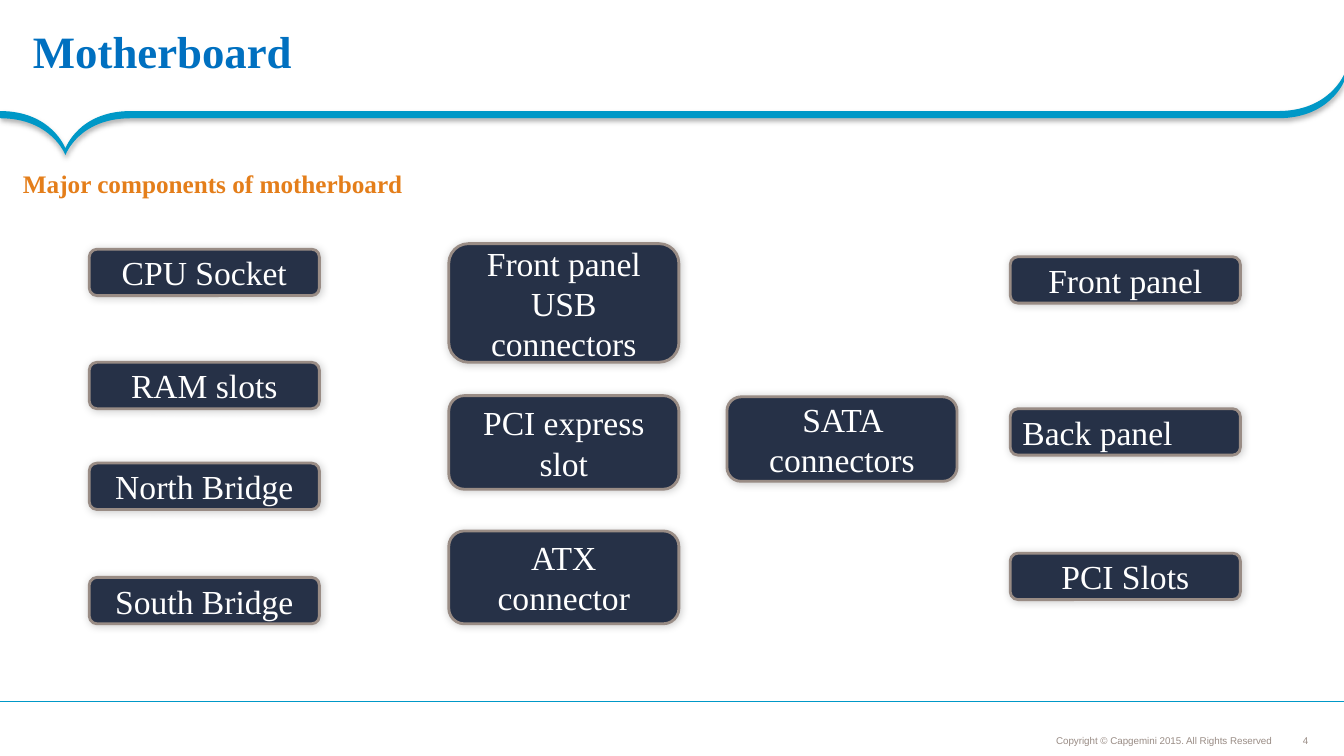
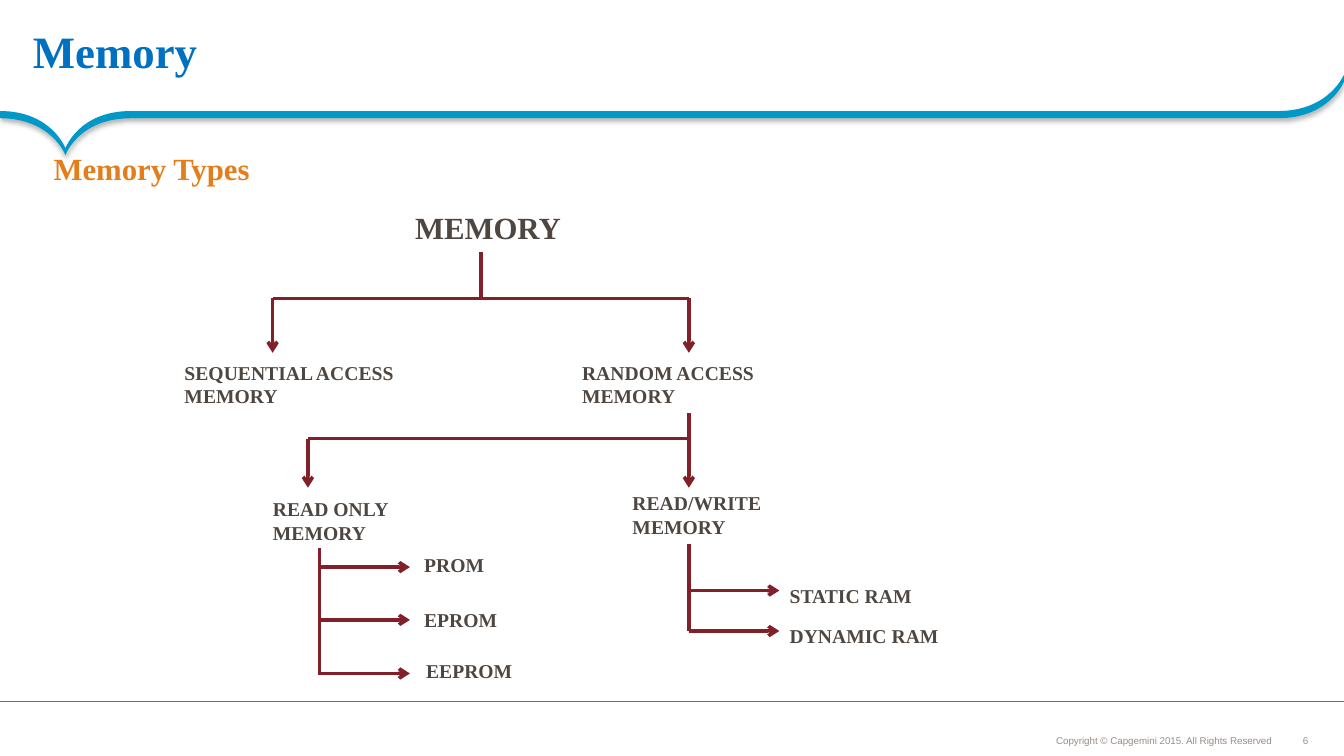
from dataclasses import dataclass

from lxml.etree import SubElement
from pptx import Presentation
from pptx.dml.color import RGBColor
from pptx.enum.shapes import MSO_CONNECTOR as Connector, MSO_SHAPE as Preset
from pptx.enum.text import MSO_ANCHOR as Anchor, MSO_AUTO_SIZE as AutoSize, PP_ALIGN as Align
from pptx.oxml.ns import qn
from pptx.shapes.base import BaseShape
from pptx.slide import Slide
from pptx.text.text import TextFrame
from pptx.util import Cm, Pt

COLORS = {
    "title": "0070C0",
    "heading": "E47E1A",
    "band": "0098C7",
    "footer": "998C85",
    "box": "263147",
    "box_edge": "998C85",
    "box_text": "FFFFFF",
    "text": "4E4641",
    "arrow": "812029",
}
SERIF, SANS = "Times New Roman", "Arial"
SLIDE_WIDTH, SLIDE_HEIGHT = 33.87, 19.05
TITLE_ONLY = 5
COPYRIGHT = "Copyright © Capgemini 2015. All Rights Reserved"

# Band outline in cm: a start, then (control, control, end) for each curve.
BAND_START = (32.21, 2.8)
BAND_CURVES = [
    ((3.3, 2.8), (3.3, 2.8), (3.3, 2.8)),
    ((1.98, 2.8), (1.65, 3.74), (1.65, 3.74)),
    ((1.65, 3.74), (1.3, 2.8), (0, 2.8)),
    ((0, 2.98), (0, 2.98), (0, 2.98)),
    ((1.3, 2.98), (1.65, 3.91), (1.65, 3.91)),
    ((1.65, 3.91), (1.98, 2.98), (3.3, 2.98)),
    ((32.21, 2.98), (32.21, 2.98), (32.21, 2.98)),
    ((33.5, 2.98), (33.87, 2.06), (33.87, 2.06)),
    ((33.87, 1.88), (33.87, 1.88), (33.87, 1.88)),
    ((33.87, 1.88), (33.5, 2.8), BAND_START),
]


@dataclass(frozen=True)
class TextStyle:
    size: float
    color: str
    font: str = SERIF
    bold: bool = False
    align: Align = Align.LEFT
    spacing: float = 1.0


TITLE = TextStyle(32, "title", bold=True, spacing=0.85)
FOOTER = TextStyle(7, "footer", SANS, align=Align.RIGHT, spacing=0.9)
PAGE_NUMBER = TextStyle(7, "footer", SANS, align=Align.CENTER)
COMPONENTS_HEADING = TextStyle(18, "heading", bold=True, spacing=0.9)
TYPES_HEADING = TextStyle(22, "heading", bold=True, spacing=0.9)
TREE_ROOT = TextStyle(22, "text", bold=True, spacing=0.9)
TREE_LABEL = TextStyle(14, "text", bold=True)
COMPONENT = TextStyle(24, "box_text", align=Align.CENTER)
COMPONENT_LEFT = TextStyle(24, "box_text")

DEFAULT_INSETS = (0.25, 0.13, 0.25, 0.13)
HEADING_INSETS = (0.3, 0.2, 0.2, 0.2)


@dataclass(frozen=True)
class Component:
    text: str
    left: float
    top: float
    height: float = 1.17
    style: TextStyle = COMPONENT


@dataclass(frozen=True)
class Label:
    text: str
    left: float
    top: float
    width: float
    height: float = 0.86


@dataclass(frozen=True)
class Branch:
    x1: float
    y1: float
    x2: float
    y2: float
    arrow: bool = False


COMPONENT_WIDTH = 5.8
CHIPS_X, SLOTS_X, SATA_X, PANELS_X = 2.25, 11.31, 18.32, 25.46
COMPONENTS = [
    Component("CPU Socket", CHIPS_X, 6.28),
    Component("RAM slots", CHIPS_X, 9.13),
    Component("North Bridge", CHIPS_X, 11.67),
    Component("South Bridge", CHIPS_X, 14.55),
    Component("Front panel USB connectors", SLOTS_X, 6.14, 2.99),
    Component("PCI express slot", SLOTS_X, 9.97, 2.36),
    Component("ATX connector", SLOTS_X, 13.38, 2.34),
    Component("SATA connectors", SATA_X, 10, 2.13),
    Component("Front panel", PANELS_X, 6.47),
    Component("Back panel", PANELS_X, 10.3, style=COMPONENT_LEFT),
    Component("PCI Slots", PANELS_X, 13.94),
]

LABELS = [
    Label("SEQUENTIAL ACCESS MEMORY", 4.4, 8.96, 5.89, 1.45),
    Label("RANDOM ACCESS MEMORY", 14.42, 8.96, 5.89, 1.45),
    Label("READ ONLY MEMORY", 6.63, 12.4, 3.68, 1.45),
    Label("READ/WRITE MEMORY", 15.69, 12.24, 3.96, 1.45),
    Label("PROM", 10.44, 13.81, 3.56),
    Label("EPROM", 10.44, 15.19, 3.56),
    Label("EEPROM", 10.49, 16.48, 3.56),
    Label("STATIC RAM", 19.65, 14.58, 6.88),
    Label("DYNAMIC RAM", 19.65, 15.6, 6.88),
]

ROOT_X, SEQUENTIAL_X, RANDOM_X, ROM_X, ROM_KINDS_X = 12.12, 6.87, 17.36, 7.76, 8.05
ACCESS_Y, READ_Y, TWIG = 7.52, 11.05, 2.28
ROM_KIND_YS = (14.29, 15.62, 16.97)
RAM_KIND_YS = (14.88, 15.9)
BRANCHES = [
    Branch(ROOT_X, 6.35, ROOT_X, ACCESS_Y),
    Branch(SEQUENTIAL_X, ACCESS_Y, RANDOM_X, ACCESS_Y),
    *(Branch(x, ACCESS_Y, x, 8.89, True) for x in (SEQUENTIAL_X, RANDOM_X)),
    Branch(RANDOM_X, 10.41, RANDOM_X, 12.29, True),
    Branch(ROM_X, READ_Y, RANDOM_X, READ_Y),
    Branch(ROM_X, READ_Y, ROM_X, 12.29, True),
    Branch(ROM_KINDS_X, 13.82, ROM_KINDS_X, 17.02),
    *(Branch(ROM_KINDS_X, y, ROM_KINDS_X + TWIG, y, True) for y in ROM_KIND_YS),
    Branch(RANDOM_X, 13.72, RANDOM_X, RAM_KIND_YS[-1]),
    *(Branch(RANDOM_X, y, RANDOM_X + TWIG, y, True) for y in RAM_KIND_YS),
]


def rgb(name: str) -> RGBColor:
    return RGBColor.from_string(COLORS[name])


def write(frame: TextFrame, text: str, style: TextStyle, insets=DEFAULT_INSETS,
          anchor: Anchor = Anchor.TOP, wrap: bool = True) -> None:
    frame.auto_size = AutoSize.NONE
    frame.word_wrap = wrap
    frame.vertical_anchor = anchor
    frame.margin_left, frame.margin_top, frame.margin_right, frame.margin_bottom = map(Cm, insets)
    paragraph = frame.paragraphs[0]
    paragraph.alignment = style.align
    paragraph.line_spacing = style.spacing
    run = paragraph.add_run()
    run.text = text
    run.font.name = style.font
    run.font.size = Pt(style.size)
    run.font.bold = style.bold
    run.font.color.rgb = rgb(style.color)


def add_text(slide: Slide, text: str, style: TextStyle, left: float, top: float,
             width: float, height: float, **layout) -> None:
    box = slide.shapes.add_textbox(Cm(left), Cm(top), Cm(width), Cm(height))
    write(box.text_frame, text, style, **layout)


def cast_shadow(shape: BaseShape, opacity: int, blur: float, distance: float, angle: int) -> None:
    shape.shadow.inherit = False
    effects = shape._element.spPr.find(qn("a:effectLst"))
    shadow = SubElement(effects, qn("a:outerShdw"), blurRad=str(Pt(blur)), dist=str(Pt(distance)),
                        dir=str(angle * 60000), algn="ctr", rotWithShape="0")
    black = SubElement(shadow, qn("a:srgbClr"), val="000000")
    SubElement(black, qn("a:alpha"), val=str(opacity * 1000))


def add_line(slide: Slide, branch: Branch, color: str, width: float) -> None:
    line = slide.shapes.add_connector(Connector.STRAIGHT, Cm(branch.x1), Cm(branch.y1),
                                      Cm(branch.x2), Cm(branch.y2))
    line.line.color.rgb = rgb(color)
    line.line.width = Pt(width)
    properties = line._element.spPr
    if branch.arrow:
        SubElement(properties.find(qn("a:ln")), qn("a:tailEnd"), type="arrow")
    SubElement(properties, qn("a:effectLst"))


def bend_segments(shape: BaseShape, curves: list) -> None:
    """Turn each straight segment of a freeform into the matching cubic curve."""
    segments = list(shape._element.iter(qn("a:lnTo")))
    for segment, curve in zip(segments, curves):
        segment.tag = qn("a:cubicBezTo")
        segment.clear()
        for x, y in curve:
            SubElement(segment, qn("a:pt"), x=str(Cm(x) - shape.left), y=str(Cm(y) - shape.top))


def add_band(slide: Slide) -> None:
    builder = slide.shapes.build_freeform(*map(Cm, BAND_START))
    ends = [(Cm(x), Cm(y)) for _, _, (x, y) in BAND_CURVES]
    builder.add_line_segments(ends, close=True)
    band = builder.convert_to_shape()
    bend_segments(band, BAND_CURVES)
    band.fill.solid()
    band.fill.fore_color.rgb = rgb("band")
    band.line.fill.background()
    cast_shadow(band, 31, 4, 2, 90)


def add_framed_slide(deck: Presentation, title: str, number: int) -> Slide:
    """Add a slide with the title, band and footer that all slides share."""
    slide = deck.slides.add_slide(deck.slide_layouts[TITLE_ONLY])
    add_band(slide)
    add_line(slide, Branch(SLIDE_WIDTH, 17.68, 0, 17.68), "band", 0.75)
    add_text(slide, COPYRIGHT, FOOTER, 23.06, 18.41, 9.09, 0.51,
             insets=(0.1,) * 4, anchor=Anchor.BOTTOM)
    add_text(slide, str(number), PAGE_NUMBER, 32.75, 18.52, 0.3, 0.3,
             insets=(0,) * 4, anchor=Anchor.MIDDLE, wrap=False)
    heading = slide.shapes.title
    heading.left, heading.top = Cm(0), Cm(0)
    heading.width, heading.height = Cm(SLIDE_WIDTH), Cm(2.78)
    write(heading.text_frame, title, TITLE, (0.83, 0.1, 0.46, 0.12), Anchor.MIDDLE)
    return slide


def add_component(slide: Slide, component: Component) -> None:
    box = slide.shapes.add_shape(Preset.ROUNDED_RECTANGLE, Cm(component.left), Cm(component.top),
                                 Cm(COMPONENT_WIDTH), Cm(component.height))
    box.fill.solid()
    box.fill.fore_color.rgb = rgb("box")
    box.line.color.rgb = rgb("box_edge")
    box.line.width = Pt(2)
    cast_shadow(box, 20, 6, 1, 45)
    write(box.text_frame, component.text, component.style, anchor=Anchor.MIDDLE)


def add_motherboard(deck: Presentation) -> None:
    slide = add_framed_slide(deck, "Motherboard", 4)
    add_text(slide, "Major components of motherboard", COMPONENTS_HEADING,
             0.28, 4.13, 32.82, 1.14, insets=HEADING_INSETS)
    for component in COMPONENTS:
        add_component(slide, component)


def add_memory(deck: Presentation) -> None:
    slide = add_framed_slide(deck, "Memory", 6)
    add_text(slide, "Memory Types", TYPES_HEADING, 1.05, 3.68, 32.77, 1.14, insets=HEADING_INSETS)
    add_text(slide, "MEMORY", TREE_ROOT, 10.16, 5.16, 6, 1.14, insets=HEADING_INSETS)
    for branch in BRANCHES:
        add_line(slide, branch, "arrow", 2.5)
    for label in LABELS:
        add_text(slide, label.text, TREE_LABEL, label.left, label.top, label.width, label.height)


def main() -> None:
    deck = Presentation()
    deck.slide_width, deck.slide_height = Cm(SLIDE_WIDTH), Cm(SLIDE_HEIGHT)
    add_motherboard(deck)
    add_memory(deck)
    deck.save("out.pptx")


if __name__ == "__main__":
    main()
